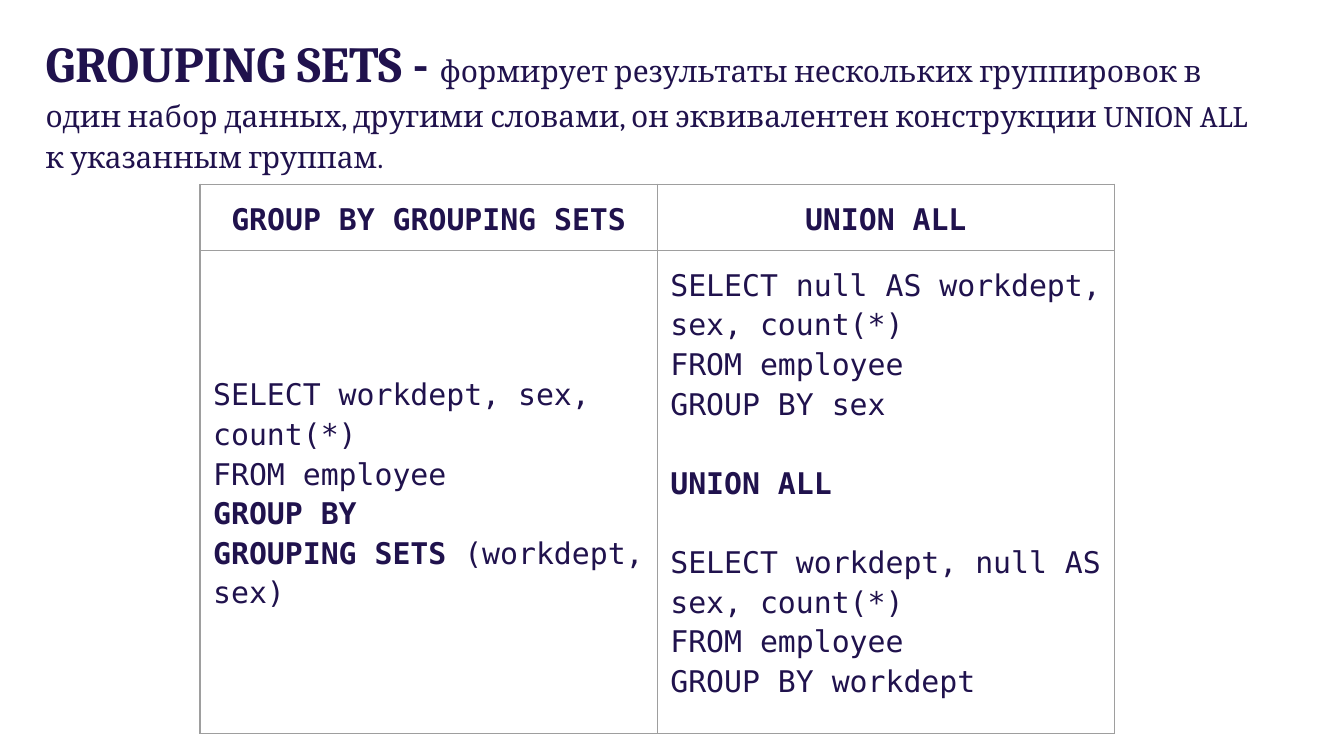
from dataclasses import dataclass
from typing import Any

import lxml.etree
import pptx
import pptx.dml.color
import pptx.enum.text
import pptx.oxml.ns
import pptx.util

Cm = pptx.util.Cm
Pt = pptx.util.Pt
ALIGN = pptx.enum.text.PP_ALIGN
ANCHOR = pptx.enum.text.MSO_ANCHOR

COLORS = {"text": "20124D", "border": "9E9E9E"}
SERIF = "Cambria"
MONO = "DejaVu Sans Mono"
INSET = Cm(0.25)
BLANK_LINE = Pt(21.3)


@dataclass(frozen=True)
class Span:
    text: str
    bold: bool = False
    size: float = 16


@dataclass(frozen=True)
class Line:
    spans: tuple[Span, ...]
    space_before: int = 0
    alignment: Any = ALIGN.LEFT


@dataclass(frozen=True)
class CellContent:
    lines: tuple[Line, ...]
    anchor: Any = ANCHOR.TOP


def code(text: str, bold: bool = False, space_before: int = 0) -> Line:
    return Line((Span(text, bold),), space_before)


def heading(text: str) -> Line:
    return Line((Span(text, True),), alignment=ALIGN.CENTER)


def apply_format(target: Any, values: dict[str, Any]) -> None:
    for attribute, value in values.items():
        setattr(target, attribute, value)


def write_lines(frame: Any, lines: tuple[Line, ...], font_name: str) -> None:
    for index, line in enumerate(lines):
        paragraph = frame.add_paragraph() if index else frame.paragraphs[0]
        apply_format(paragraph, {
            "alignment": line.alignment,
            "line_spacing": 1.15,
            "space_before": line.space_before,
        })
        for span in line.spans:
            run = paragraph.add_run()
            run.text = span.text
            apply_format(run.font, {
                "name": font_name, "size": Pt(span.size), "bold": span.bold,
            })
            run.font.color.rgb = pptx.dml.color.RGBColor.from_string(COLORS["text"])


def draw_borders(cell: Any) -> None:
    qn = pptx.oxml.ns.qn
    properties = cell._tc.get_or_add_tcPr()
    for side in ("a:lnL", "a:lnR", "a:lnT", "a:lnB"):
        border = lxml.etree.SubElement(properties, qn(side), w=str(Pt(0.75)))
        fill = lxml.etree.SubElement(border, qn("a:solidFill"))
        lxml.etree.SubElement(fill, qn("a:srgbClr"), val=COLORS["border"])


def fill_cell(cell: Any, content: CellContent) -> None:
    draw_borders(cell)
    cell.fill.background()
    apply_format(cell, {
        "margin_left": INSET, "margin_right": INSET,
        "margin_top": INSET, "margin_bottom": INSET,
        "vertical_anchor": content.anchor,
    })
    write_lines(cell.text_frame, content.lines, MONO)


DEFINITION = Line((
    Span("GROUPING SETS - ", True, 27),
    Span("формирует результаты нескольких группировок в один набор данных, "
         "другими словами, он эквивалентен конструкции UNION ALL "
         "к указанным группам."),
), Pt(8))

GROUPING_QUERY = (
    code("SELECT workdept, sex, count(*)"),
    code("FROM employee"),
    code("GROUP BY", bold=True),
    Line((Span("GROUPING SETS", True), Span(" (workdept, sex)"))),
)

UNION_QUERY = (
    code("SELECT null AS workdept, sex, count(*)"),
    code("FROM employee"),
    code("GROUP BY sex"),
    code("UNION ALL", bold=True, space_before=BLANK_LINE),
    code("SELECT workdept, null AS sex, count(*)", space_before=BLANK_LINE),
    code("FROM employee"),
    code("GROUP BY workdept"),
)

COMPARISON = (
    (CellContent((heading("GROUP BY GROUPING SETS"),), ANCHOR.MIDDLE),
     CellContent((heading("UNION ALL"),))),
    (CellContent(GROUPING_QUERY, ANCHOR.MIDDLE), CellContent(UNION_QUERY)),
)
COLUMN_WIDTH = Cm(8.64)
ROW_HEIGHTS = (Cm(1.22), Cm(9.14))


def add_definition(slide: Any) -> None:
    title = slide.shapes.title
    apply_format(title, {
        "left": Cm(0.61), "top": Cm(0.18), "width": Cm(23.67), "height": Cm(1.6),
    })
    apply_format(title.text_frame, {
        "margin_left": INSET, "margin_right": INSET,
        "margin_top": INSET, "margin_bottom": INSET,
        "word_wrap": True,
        "auto_size": pptx.enum.text.MSO_AUTO_SIZE.NONE,
        "vertical_anchor": ANCHOR.TOP,
    })
    write_lines(title.text_frame, (DEFINITION,), SERIF)


def add_comparison(slide: Any) -> None:
    table = slide.shapes.add_table(
        len(COMPARISON), len(COMPARISON[0]), Cm(3.78), Cm(3.48),
        COLUMN_WIDTH * len(COMPARISON[0]), sum(ROW_HEIGHTS)).table
    apply_format(table, {"first_row": False, "horz_banding": False})
    for column in table.columns:
        column.width = COLUMN_WIDTH
    for row, height, contents in zip(table.rows, ROW_HEIGHTS, COMPARISON):
        row.height = height
        for cell, content in zip(row.cells, contents):
            fill_cell(cell, content)


def main() -> None:
    presentation = pptx.Presentation()
    apply_format(presentation, {"slide_width": Cm(25.4), "slide_height": Cm(14.29)})
    slide = presentation.slides.add_slide(presentation.slide_layouts[5])
    add_definition(slide)
    add_comparison(slide)
    presentation.save("out.pptx")


if __name__ == "__main__":
    main()
